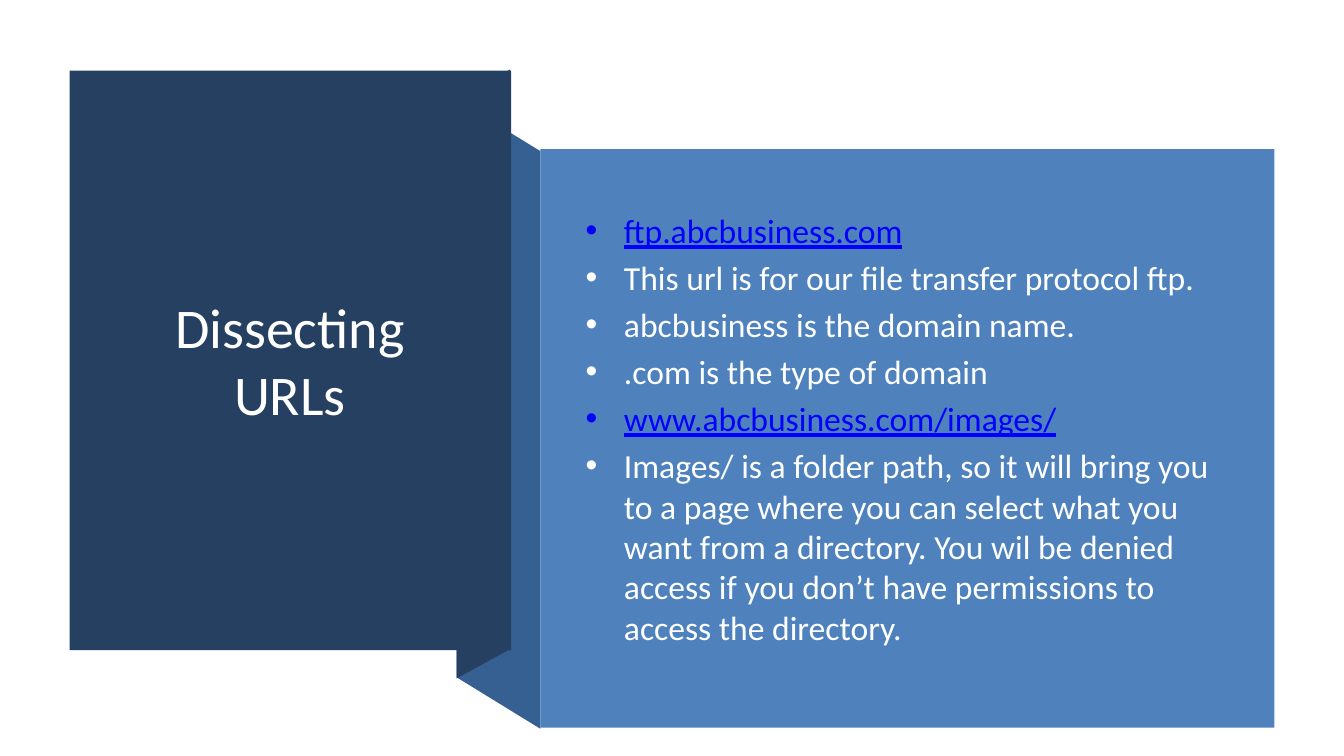
"""Build the slide that dissects two URLs on a folded blue banner."""
from dataclasses import dataclass

from lxml.etree import SubElement
from pptx import Presentation
from pptx.dml.color import RGBColor
from pptx.enum.shapes import MSO_SHAPE
from pptx.enum.text import MSO_ANCHOR, MSO_AUTO_SIZE, PP_ALIGN
from pptx.oxml.ns import qn
from pptx.shapes.base import BaseShape
from pptx.slide import Slide
from pptx.text.text import TextFrame, _Paragraph
from pptx.util import Emu, Pt

SCALE = 9144


@dataclass(frozen=True)
class Theme:
    font: str = "Calibri"
    navy: str = "254061"
    fold: str = "376092"
    blue: str = "4F81BD"
    title: str = "FFFFFF"
    text: str = "FEFFFF"
    link: str = "0000FF"
    title_pt: int = 40
    body_pt: int = 24
    gap_pt: float = 4.8


@dataclass(frozen=True)
class Box:
    x: int
    y: int
    w: int
    h: int

    def emu(self) -> tuple[Emu, ...]:
        return tuple(px(n) for n in (self.x, self.y, self.w, self.h))


@dataclass(frozen=True)
class Fold:
    points: tuple[tuple[int, int], ...]
    color: str


@dataclass(frozen=True)
class Bullet:
    text: str
    is_link: bool = False


THEME = Theme()
TITLE_PANEL = Box(69, 70, 438, 575)
TITLE_BOX = Box(102, 107, 371, 499)
BODY_PANEL = Box(536, 148, 728, 574)
BODY_BOX = Box(571, 188, 651, 474)
FOLDS = (
    Fold(((536, 723), (453, 672), (453, 99), (536, 150)), THEME.fold),
    Fold(((506, 644), (453, 673), (453, 98), (506, 69)), THEME.navy),
)
BULLETS = (
    Bullet("ftp.abcbusiness.com", True),
    Bullet("This url is for our file transfer protocol ftp."),
    Bullet("abcbusiness is the domain name."),
    Bullet(".com is the type of domain"),
    Bullet("www.abcbusiness.com/images/", True),
    Bullet("Images/ is a folder path, so it will bring you to a page where you can "
           "select what you want from a directory. You wil be denied access if you "
           "don’t have permissions to access the directory."),
)
BULLET_INDENT = 38


def px(n: int) -> Emu:
    return Emu(n * SCALE)


def paint(sp: BaseShape, color: str) -> None:
    sp.shadow.inherit = False
    sp.fill.solid()
    sp.fill.fore_color.rgb = RGBColor.from_string(color)
    sp.line.fill.background()


def draw_fold(s: Slide, fold: Fold) -> None:
    start, *rest = fold.points
    builder = s.shapes.build_freeform(*start, scale=SCALE)
    builder.add_line_segments(rest, close=True)
    paint(builder.convert_to_shape(), fold.color)


def draw_panel(s: Slide, box: Box, color: str) -> None:
    paint(s.shapes.add_shape(MSO_SHAPE.RECTANGLE, *box.emu()), color)


def set_frame(tf: TextFrame) -> None:
    tf.word_wrap = True
    tf.auto_size = MSO_AUTO_SIZE.NONE
    tf.vertical_anchor = MSO_ANCHOR.MIDDLE


def add_run(p: _Paragraph, text: str, size: int, color: str, underline: bool = False) -> None:
    r = p.add_run()
    r.text = text
    r.font.name = THEME.font
    r.font.size = Pt(size)
    r.font.color.rgb = RGBColor.from_string(color)
    r.font.underline = underline


def draw_title(s: Slide, text: str) -> None:
    sp = s.shapes.title
    s.shapes.element.append(sp.element)
    sp.left, sp.top, sp.width, sp.height = TITLE_BOX.emu()
    tf = sp.text_frame
    set_frame(tf)
    tf.margin_left = tf.margin_right = px(15)
    p = tf.paragraphs[0]
    p.alignment = PP_ALIGN.CENTER
    add_run(p, text, THEME.title_pt, THEME.title)


def add_bullet_mark(p: _Paragraph) -> None:
    pPr = p._p.get_or_add_pPr()
    pPr.set("marL", str(px(BULLET_INDENT)))
    pPr.set("indent", str(-px(BULLET_INDENT)))
    SubElement(pPr, qn("a:buFont"), typeface="Arial")
    SubElement(pPr, qn("a:buChar"), char="•")


def draw_bullets(s: Slide, bullets: tuple[Bullet, ...]) -> None:
    tf = s.shapes.add_textbox(*BODY_BOX.emu()).text_frame
    set_frame(tf)
    for i, bullet in enumerate(bullets):
        p = tf.add_paragraph() if i else tf.paragraphs[0]
        add_bullet_mark(p)
        p.space_before = Pt(THEME.gap_pt if i else 0)
        color = THEME.link if bullet.is_link else THEME.text
        add_run(p, bullet.text, THEME.body_pt, color, bullet.is_link)


def main() -> None:
    prs = Presentation()
    prs.slide_width, prs.slide_height = px(1333), px(750)
    s = prs.slides.add_slide(prs.slide_layouts.get_by_name("Title Only"))
    for fold in FOLDS:
        draw_fold(s, fold)
    draw_panel(s, TITLE_PANEL, THEME.navy)
    draw_title(s, "Dissecting URLs")
    draw_panel(s, BODY_PANEL, THEME.blue)
    draw_bullets(s, BULLETS)
    prs.save("out.pptx")


if __name__ == "__main__":
    main()
